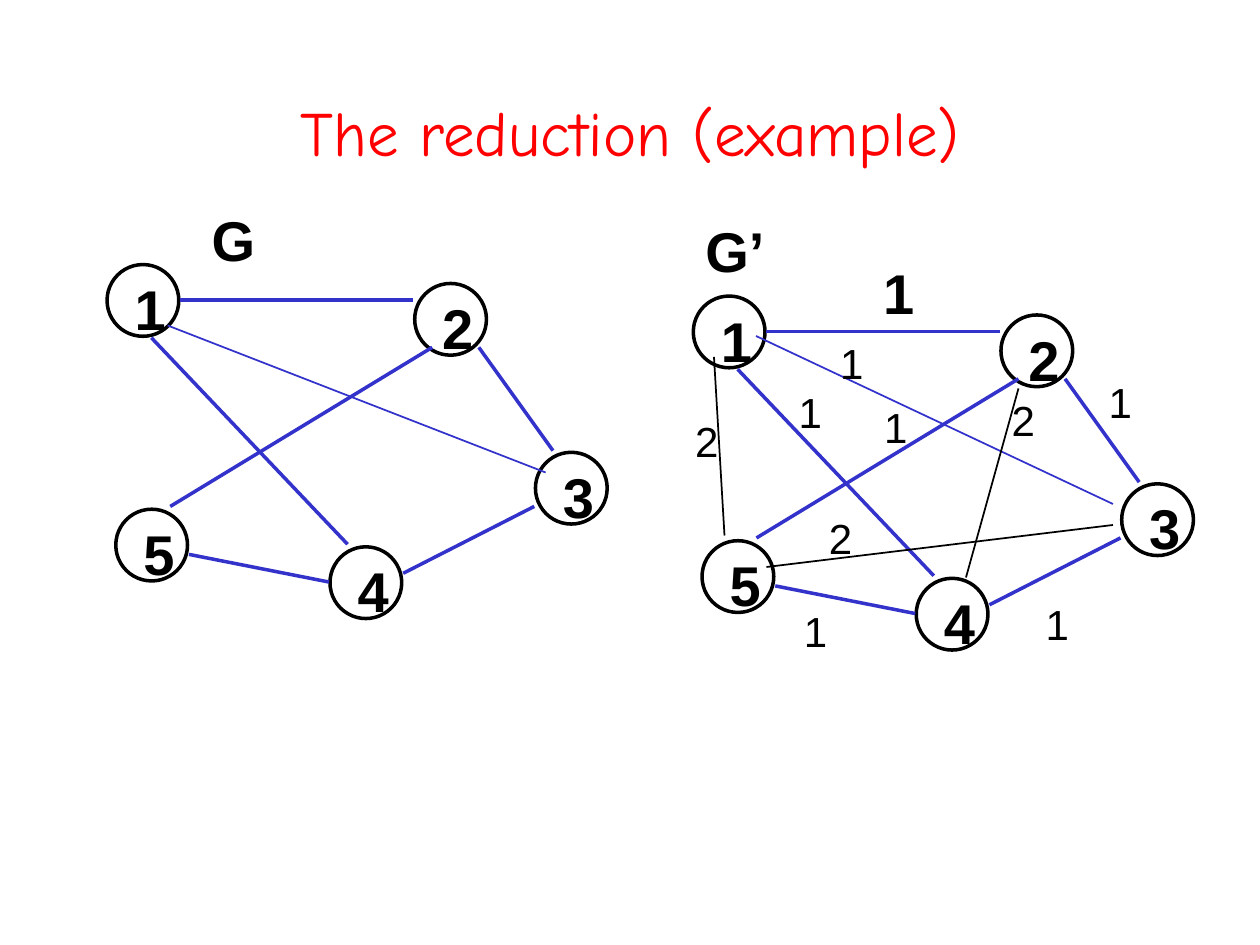
from dataclasses import dataclass
from typing import NamedTuple

from lxml.etree import SubElement
from pptx import Presentation
from pptx.dml.color import RGBColor
from pptx.enum.shapes import MSO_CONNECTOR, MSO_SHAPE
from pptx.enum.text import MSO_ANCHOR, PP_ALIGN
from pptx.oxml.ns import qn
from pptx.slide import Slide
from pptx.util import Pt


@dataclass(frozen=True)
class Theme:
    ink: RGBColor = RGBColor(0, 0, 0)
    edge: RGBColor = RGBColor(0x33, 0x33, 0xCC)
    head: RGBColor = RGBColor(0xFF, 0, 0)
    face: str = "Arial"
    hand: str = "Comic Neue"
    title: int = 36
    big: int = 32
    small: int = 24
    thick: int = 2
    thin: int = 1


class Node(NamedTuple):
    name: str
    x: float
    y: float


class Edge(NamedTuple):
    x1: float
    y1: float
    x2: float
    y2: float


class Label(NamedTuple):
    text: str
    x: float
    y: float
    w: float


THEME = Theme()
SIZE = 41
SHIFT = (335, 18)  # from G to G’

NODES = [
    Node("1", 61.2, 151.2),
    Node("2", 237, 162),
    Node("3", 306, 258.5),
    Node("4", 188.6, 312.5),
    Node("5", 66.2, 291),
]
EDGES = [
    Edge(273.6, 198.5, 316, 257.5),
    Edge(305.3, 289.4, 230.4, 327.6),
    Edge(108, 316.8, 188, 332.6),
    Edge(86.5, 193, 198.6, 311),
    Edge(97.3, 289.4, 247, 198.5),
    Edge(103, 171.4, 236.2, 171.4),
]
DIAGONAL = Edge(95.8, 186, 311.8, 270)
HEAVY = Edge(432, 192, 636, 288)
ADDED = [
    Edge(408, 204, 414, 306),
    Edge(582, 222, 552, 330),
    Edge(438, 324, 636, 300),
]
NAMES = [
    Label("G", 113.8, 113.8, 39.6),
    Label("G’", 396, 120, 49),
    Label("1", 497.5, 144, 32.4),
]
WEIGHTS = [
    Label("1", 449.3, 217.5, 28),
    Label("1", 498.2, 226, 26),
    Label("1", 452.2, 342.7, 54),
    Label("1", 590.4, 338.4, 54),
    Label("1", 626.4, 211.7, 27.4),
    Label("2", 390.2, 234, 54),
    Label("2", 466.6, 289.4, 30.2),
    Label("2", 571, 221.8, 26.6),
    Label("1", 473, 189.4, 27.4),
]


def draw_label(slide: Slide, label: Label, bold: bool) -> None:
    size = THEME.big if bold else THEME.small
    box = slide.shapes.add_textbox(
        Pt(label.x), Pt(label.y), Pt(label.w), Pt(45.4 if bold else 36.4))
    frame = box.text_frame
    frame.word_wrap = not bold
    frame.text = label.text
    font = frame.paragraphs[0].runs[0].font
    font.name, font.size, font.bold = THEME.face, Pt(size), bold
    font.color.rgb = THEME.ink


def draw_node(slide: Slide, node: Node, dx: float, dy: float) -> None:
    x, y = node.x + dx, node.y + dy
    ring = slide.shapes.add_shape(
        MSO_SHAPE.OVAL, Pt(x), Pt(y), Pt(SIZE), Pt(SIZE))
    ring.shadow.inherit = False
    ring.fill.background()
    ring.line.color.rgb = THEME.ink
    ring.line.width = Pt(THEME.thick)
    draw_label(slide, Label(node.name, x + 8.6, y + 2.2, 32.4), True)


def draw_edge(slide: Slide, edge: Edge, color: RGBColor, width: int,
              dx: float = 0, dy: float = 0) -> None:
    line = slide.shapes.add_connector(
        MSO_CONNECTOR.STRAIGHT, Pt(edge.x1 + dx), Pt(edge.y1 + dy),
        Pt(edge.x2 + dx), Pt(edge.y2 + dy))
    line.line.color.rgb = color
    line.line.width = Pt(width)
    SubElement(line.element.spPr, qn("a:effectLst"))


def draw_graph(slide: Slide, dx: float, dy: float) -> None:
    """Draw the nodes and edges that both graphs share."""
    for node in NODES:
        draw_node(slide, node, dx, dy)
    for edge in EDGES:
        draw_edge(slide, edge, THEME.edge, THEME.thick, dx, dy)


def draw_title(slide: Slide, text: str) -> None:
    title = slide.shapes.title
    title.left, title.top = Pt(54), Pt(30)
    title.width, title.height = Pt(612), Pt(90)
    frame = title.text_frame
    frame.text = text
    frame.vertical_anchor = MSO_ANCHOR.MIDDLE
    para = frame.paragraphs[0]
    para.alignment = PP_ALIGN.CENTER
    font = para.runs[0].font
    font.name, font.size = THEME.hand, Pt(THEME.title)
    font.color.rgb = THEME.head


def main() -> None:
    deck = Presentation()
    deck.slide_width, deck.slide_height = Pt(720), Pt(540)
    slide = deck.slides.add_slide(deck.slide_layouts[5])
    draw_title(slide, "The reduction (example)")
    for dx, dy in ((0, 0), SHIFT):
        draw_graph(slide, dx, dy)
    for edge in (DIAGONAL, HEAVY):
        draw_edge(slide, edge, THEME.edge, THEME.thin)
    for edge in ADDED:
        draw_edge(slide, edge, THEME.ink, THEME.thin)
    for label in NAMES:
        draw_label(slide, label, True)
    for label in WEIGHTS:
        draw_label(slide, label, False)
    deck.save("out.pptx")


if __name__ == "__main__":
    main()
